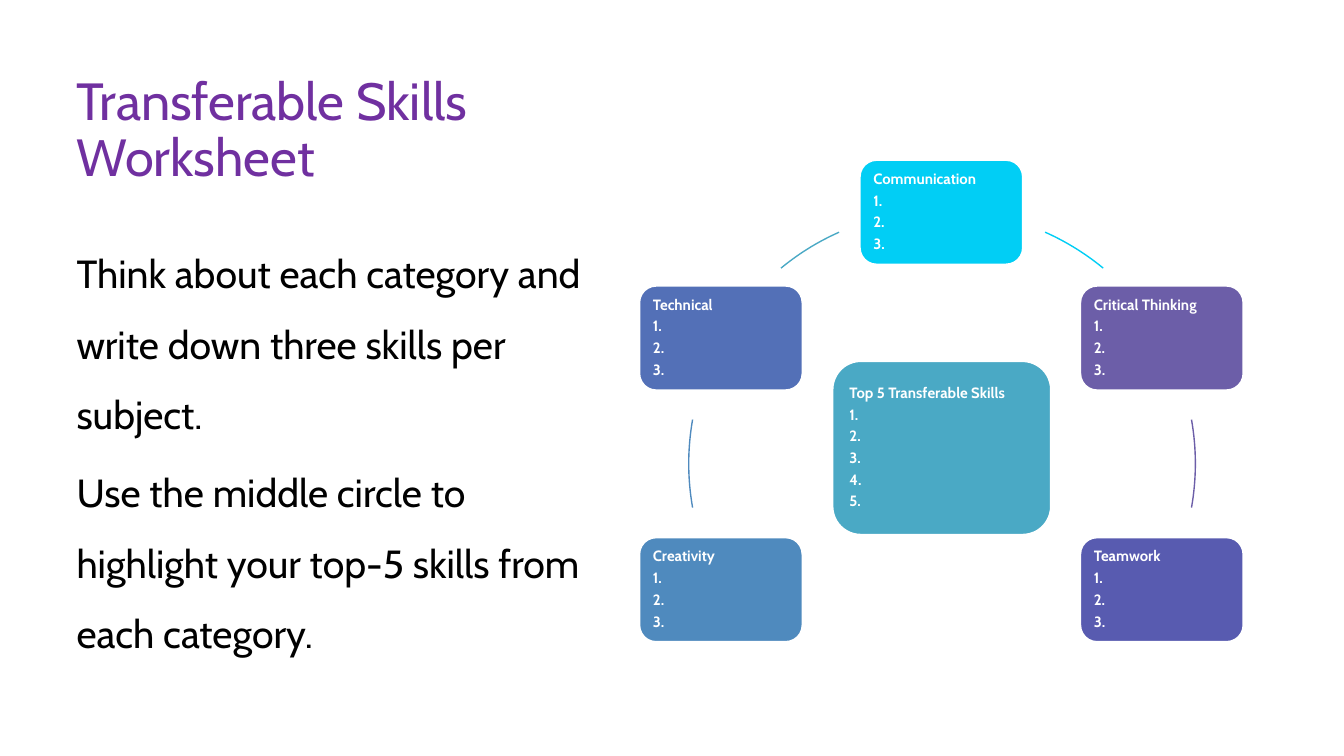
from dataclasses import dataclass

from pptx import Presentation
from pptx.dml.color import RGBColor
from pptx.enum.shapes import MSO_SHAPE
from pptx.enum.text import MSO_ANCHOR, MSO_AUTO_SIZE, PP_ALIGN
from pptx.util import Pt

ROUND, ARC = MSO_SHAPE.ROUNDED_RECTANGLE, MSO_SHAPE.ARC
LEFT, TOP, MIDDLE = PP_ALIGN.LEFT, MSO_ANCHOR.TOP, MSO_ANCHOR.MIDDLE
FIXED = MSO_AUTO_SIZE.NONE
TITLE_ONLY = 5


@dataclass(frozen=True)
class Theme:
    font: str = "Cabin"
    head: str = "7030A0"
    ink: str = "000000"
    white: str = "FFFFFF"
    cyan: str = "01CEF5"
    purple: str = "6C5EA8"
    indigo: str = "585BB0"
    steel: str = "4F8ABE"
    blue: str = "5370B7"
    teal: str = "4AA9C5"
    head_size: float = 28
    body_size: float = 21
    card_size: float = 8


theme = Theme()


def write(frame, lines, size, color, lead=0.9, gap=0, bold=False,
          anchor=MIDDLE, pad=(5, 3)):
    """Set one paragraph per line, left aligned, with equal insets per axis."""
    frame.word_wrap = True
    frame.auto_size = FIXED
    frame.vertical_anchor = anchor
    frame.margin_left = frame.margin_right = Pt(pad[0])
    frame.margin_top = frame.margin_bottom = Pt(pad[1])
    for i, line in enumerate(lines):
        para = frame.add_paragraph() if i else frame.paragraphs[0]
        para.alignment = LEFT
        para.line_spacing = lead
        para.space_before = Pt(gap)
        run = para.add_run()
        run.text = line
        run.font.name = theme.font
        run.font.size = Pt(size)
        run.font.bold = bold
        run.font.color.rgb = RGBColor.from_string(color)


def add_card(x, y, wide, high, color, label, count):
    """Add a rounded card with a label and numbered lines to fill in."""
    card = slide.shapes.add_shape(ROUND, Pt(x), Pt(y), Pt(wide), Pt(high))
    card.shadow.inherit = False
    card.fill.solid()
    card.fill.fore_color.rgb = RGBColor.from_string(color)
    card.line.color.rgb = RGBColor.from_string(theme.white)
    card.line.width = Pt(2)
    lines = [label] + [f"{n}." for n in range(1, count + 1)]
    write(card.text_frame, lines, theme.card_size, theme.white,
          gap=3, bold=True, pad=(5, 5))


deck = Presentation()
deck.slide_width, deck.slide_height = Pt(720), Pt(405)
slide = deck.slides.add_slide(deck.slide_layouts[TITLE_ONLY])

# Title and instructions
title = slide.shapes.title
title.left, title.top, title.width, title.height = Pt(36), Pt(36.7), Pt(648), Pt(67.7)
write(title.text_frame, ["Transferable Skills", "Worksheet"],
      theme.head_size, theme.head)

body = slide.shapes.add_textbox(Pt(36), Pt(118), Pt(281.5), Pt(246))
write(body.text_frame,
      ["Think about each category and write down three skills per subject.",
       "Use the middle circle to highlight your top-5 skills from each category."],
      theme.body_size, theme.ink, lead=1.5, gap=4, anchor=TOP)

# Ring of arcs: start and end in degrees, clockwise from the right
mid_x, mid_y, radius = 504.7, 248.4, 135.7
arcs = [
    (294, 309.5, theme.cyan),
    (350, 10, theme.purple),
    (230.5, 246, theme.teal),
    (170, 190, theme.steel),
]
for start, end, color in arcs:
    arc = slide.shapes.add_shape(ARC, Pt(mid_x - radius), Pt(mid_y - radius),
                                 Pt(2 * radius), Pt(2 * radius))
    arc.shadow.inherit = False
    arc.fill.background()
    arc.line.color.rgb = RGBColor.from_string(color)
    arc.line.width = Pt(0.75)
    # Angles are stored in 60000ths of a degree, adjustments in 100000ths
    arc.adjustments[0] = start * 0.6
    arc.adjustments[1] = end * 0.6

# Category cards: column and row around the hub
wide, high = 88.4, 57
cols = [342 + 118.1 * i for i in range(3)]
rows = [85.2, 152.6, 287.4]
cards = [
    (1, 0, theme.cyan, "Communication"),
    (2, 1, theme.purple, "Critical Thinking"),
    (2, 2, theme.indigo, "Teamwork"),
    (0, 1, theme.blue, "Technical"),
    (0, 2, theme.steel, "Creativity"),
]
for col, row, color, label in cards:
    add_card(cols[col], rows[row], wide, high, color, label, 3)

add_card(445.5, 193, 118, 94, theme.teal, "Top 5 Transferable Skills", 5)

deck.save("out.pptx")
